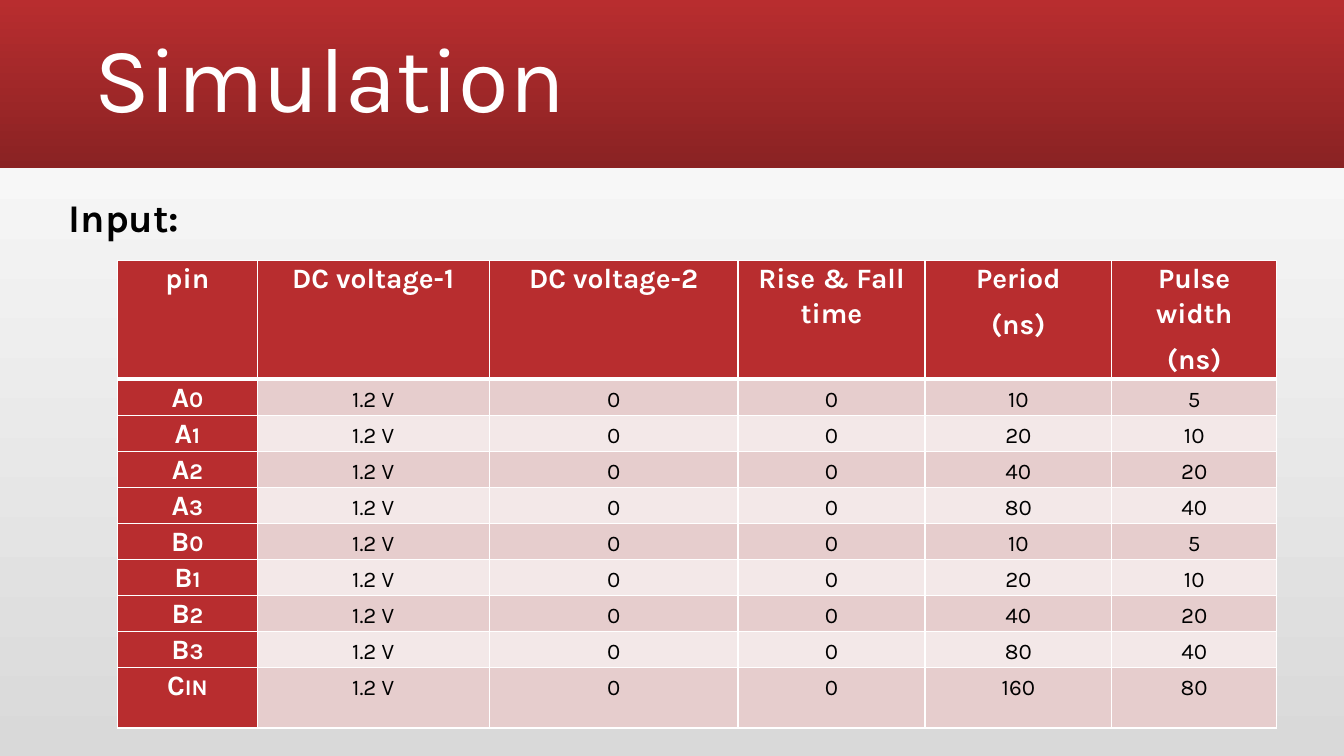
from lxml import etree
from pptx import Presentation, util as u
from pptx.dml.color import RGBColor
from pptx.enum import shapes, text
from pptx.oxml import ns

PX = 9525  # 96 px to the inch
FONT = "Karla"
COLOURS = {
    "red": "B82D2F", "dark red": "8A2223", "rose": "E6CDCD", "pale rose": "F3E8E8",
    "white": "FFFFFF", "grey": "D9D9D9", "black": "000000",
}
HEADINGS = ["pin", "DC voltage-1", "DC voltage-2", "Rise & Fall time",
            "Period\n(ns)", "Pulse width\n(ns)"]
PINS = ["A0", "A1", "A2", "A3", "B0", "B1", "B2", "B3", "Cin"]
PERIODS = [10, 20, 40, 80] * 2 + [160]
COLUMN_WIDTHS = [133, 221, 237, 178, 178, 157]
ROW_HEIGHTS = [48] + [29] * 8 + [58]


def px(*lengths):
    return [u.Emu(length * PX) for length in lengths]


def rgb(name):
    return RGBColor.from_string(COLOURS[name])


def fill_gradient(fill, start, end, angle):
    """Blend two colours; the angle runs counter-clockwise."""
    fill.gradient()
    fill.gradient_angle = angle
    for stop, colour in zip(fill.gradient_stops, (start, end)):
        stop.color.rgb = rgb(colour)


def format_runs(para, size, colour, bold=False, small_caps=False):
    for span in para.runs:
        span.font.name = FONT
        span.font.size = u.Pt(size)
        span.font.bold = bold
        span.font.color.rgb = rgb(colour)
        if small_caps:
            span.font._element.set("cap", "small")


def add_band(page):
    band = page.shapes.add_shape(shapes.MSO_SHAPE.RECTANGLE, *px(0, 0, 1280, 160))
    band.shadow.inherit = False
    band.line.fill.background()
    fill_gradient(band.fill, "red", "dark red", 270)
    page.shapes._spTree.insert(2, band._element)  # behind the title


def set_title(page, wording):
    title = page.shapes.title
    title.left, title.top, title.width, title.height = px(80, 13, 1120, 131)
    frame = title.text_frame
    frame.text = wording
    frame.vertical_anchor = text.MSO_ANCHOR.MIDDLE
    para = frame.paragraphs[0]
    para.alignment = text.PP_ALIGN.LEFT
    para.line_spacing = 0.9
    format_runs(para, 66, "white")


def add_label(page, wording):
    box = page.shapes.add_textbox(*px(56, 179, 400, 55))
    box.text_frame.word_wrap = True
    box.text_frame.text = wording
    format_runs(box.text_frame.paragraphs[0], 28, "black", bold=True)


def set_borders(cell, bottom):
    properties = cell._tc.get_or_add_tcPr()
    for index, (side, width) in enumerate(zip("LRTB", (1, 1, 1, bottom))):
        line = etree.Element(ns.qn(f"a:ln{side}"), w=str(u.Pt(width)))
        solid = etree.SubElement(line, ns.qn("a:solidFill"))
        etree.SubElement(solid, ns.qn("a:srgbClr"), val=COLOURS["white"])
        properties.insert(index, line)


def format_cell(cell, wording, row, column):
    is_heading = row == 0
    is_red = is_heading or column == 0
    cell.text = wording
    cell.margin_left = cell.margin_right = u.Inches(0.07)
    cell.margin_top = cell.margin_bottom = 0
    cell.fill.solid()
    cell.fill.fore_color.rgb = rgb("red" if is_red else "rose" if row % 2 else "pale rose")
    set_borders(cell, bottom=3 if is_heading else 1)
    for para in cell.text_frame.paragraphs:
        para.alignment = text.PP_ALIGN.CENTER
        para.line_spacing = 1.07
        para.space_before = u.Pt(0 if is_heading else 8)
        para.space_after = u.Pt(7.8 if is_heading else 4)
        format_runs(para, 20, "white" if is_red else "black",
                    bold=is_red, small_caps=not is_heading)


def add_input_table(page):
    rows = [HEADINGS] + [[pin, "1.2 v", "0", "0", str(period), str(period // 2)]
                         for pin, period in zip(PINS, PERIODS)]
    frame = page.shapes.add_table(
        len(rows), len(HEADINGS),
        *px(112, 248, sum(COLUMN_WIDTHS), sum(ROW_HEIGHTS)))
    table = frame.table
    table.horz_banding = False
    for column, width in zip(table.columns, px(*COLUMN_WIDTHS)):
        column.width = width
    for row, height in zip(table.rows, px(*ROW_HEIGHTS)):
        row.height = height
    for row, wordings in enumerate(rows):
        for column, wording in enumerate(wordings):
            format_cell(table.cell(row, column), wording, row, column)


def main():
    deck = Presentation()
    deck.slide_width, deck.slide_height = px(1280, 720)
    page = deck.slides.add_slide(deck.slide_layouts[5])
    fill_gradient(page.background.fill, "grey", "white", 90)
    add_band(page)
    set_title(page, "Simulation")
    add_label(page, "Input:")
    add_input_table(page)
    deck.save("out.pptx")


if __name__ == "__main__":
    main()
